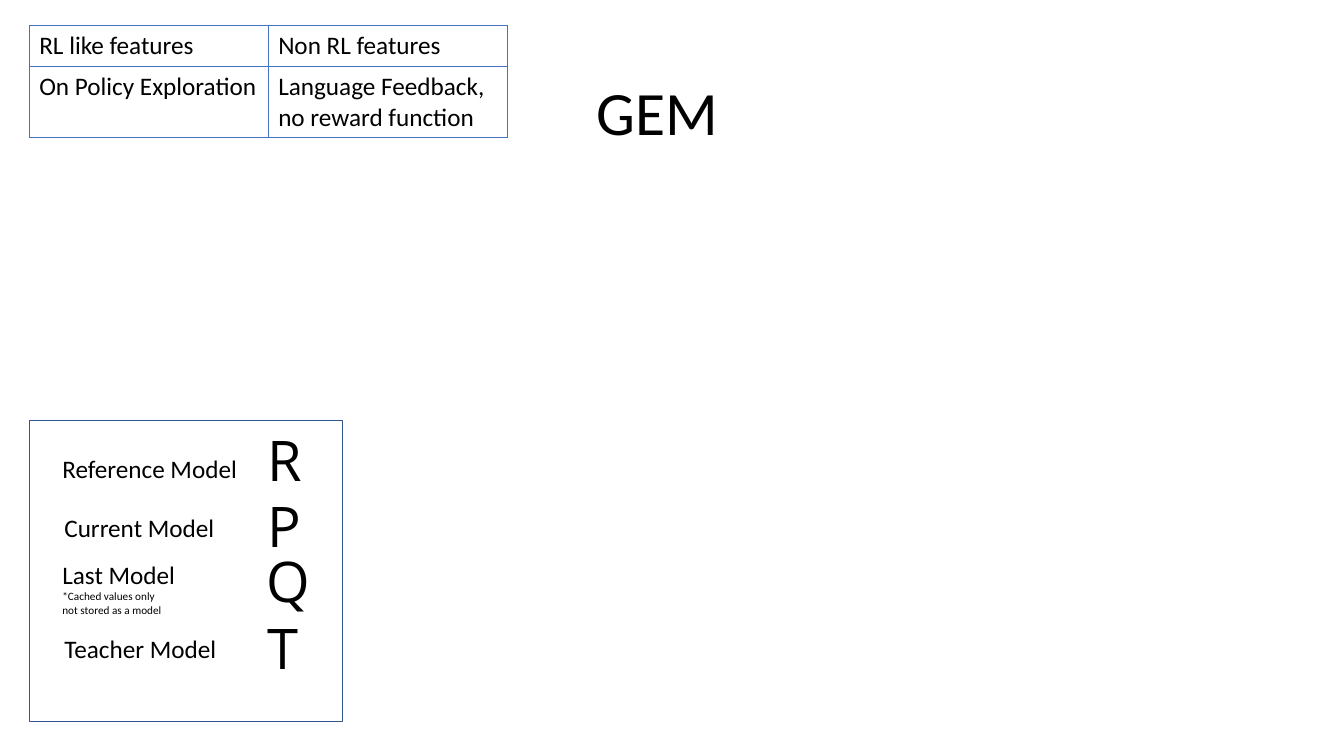
from dataclasses import dataclass

from lxml import etree
from pptx import Presentation
from pptx.dml.color import RGBColor
from pptx.enum.shapes import MSO_SHAPE
from pptx.enum.text import MSO_ANCHOR, MSO_AUTO_SIZE, PP_ALIGN
from pptx.oxml.ns import qn
from pptx.util import Pt

PX = 9144  # EMU per px, 100 px to the inch
RECT = MSO_SHAPE.RECTANGLE
MIDDLE, TOP = MSO_ANCHOR.MIDDLE, MSO_ANCHOR.TOP
CENTER, LEFT = PP_ALIGN.CENTER, PP_ALIGN.LEFT
GROW = MSO_AUTO_SIZE.SHAPE_TO_FIT_TEXT


@dataclass(frozen=True)
class Theme:
    text: str = "000000"
    grid: str = "4472C4"
    frame: str = "325491"
    body_font: str = "Calibri"
    symbol_font: str = "Open Sans"
    title: int = 44
    symbol: int = 40
    body: int = 18
    note: int = 8
    line: int = 1


class SlideBuilder:
    def __init__(self, prs, theme):
        self.theme = theme
        self.slide = prs.slides.add_slide(prs.slide_layouts[6])
        self.shapes = self.slide.shapes

    def start_group(self):
        """Place the elements that follow in a new group."""
        self.shapes = self.slide.shapes.add_group_shape().shapes

    def run(self, p, text, size, font=None):
        r = p.add_run()
        r.text = text
        r.font.size = Pt(size)
        r.font.name = font or self.theme.body_font
        r.font.color.rgb = RGBColor.from_string(self.theme.text)

    def text(self, box, lines, font=None, wrap=True):
        """Add a top-left text box; lines are (text, size) pairs."""
        tf = self.shapes.add_textbox(*(v * PX for v in box)).text_frame
        tf.word_wrap = wrap
        tf.auto_size = GROW
        tf.vertical_anchor = TOP
        for i, (text, size) in enumerate(lines):
            p = tf.paragraphs[0] if i == 0 else tf.add_paragraph()
            p.alignment = LEFT
            self.run(p, text, size, font)

    def title(self, box, text):
        tf = self.shapes.add_textbox(*(v * PX for v in box)).text_frame
        tf.word_wrap = True
        tf.vertical_anchor = MIDDLE
        p = tf.paragraphs[0]
        p.alignment = CENTER
        p.line_spacing = 0.9
        self.run(p, text, self.theme.title)

    def frame(self, box):
        sp = self.shapes.add_shape(RECT, *(v * PX for v in box))
        sp.shadow.inherit = False
        sp.fill.background()
        sp.line.color.rgb = RGBColor.from_string(self.theme.frame)
        sp.line.width = Pt(self.theme.line)

    def table(self, left, top, col_width, row_heights, rows):
        n_cols = len(rows[0])
        table = self.shapes.add_table(
            len(rows), n_cols, left * PX, top * PX,
            n_cols * col_width * PX, sum(row_heights) * PX).table
        table.first_row = table.horz_banding = False
        for col in table.columns:
            col.width = col_width * PX
        for row, height, texts in zip(table.rows, row_heights, rows):
            row.height = height * PX
            for cell, text in zip(row.cells, texts):
                self.run(cell.text_frame.paragraphs[0], text, self.theme.body)
                self.cell_borders(cell)
                cell.fill.background()

    def cell_borders(self, cell):
        tc_pr = cell._tc.get_or_add_tcPr()
        for side in ("lnL", "lnR", "lnT", "lnB"):
            ln = etree.SubElement(tc_pr, qn(f"a:{side}"), w=str(Pt(self.theme.line)))
            fill = etree.SubElement(ln, qn("a:solidFill"))
            etree.SubElement(fill, qn("a:srgbClr"), val=self.theme.grid)


def main():
    prs = Presentation()
    prs.slide_width, prs.slide_height = 1333 * PX, 750 * PX
    theme = Theme()
    s = SlideBuilder(prs, theme)

    s.title((77, 42, 1150, 145), "GEM")
    s.table(29, 25, 237, (41, 70), (
        ("RL like features", "Non RL features"),
        ("On Policy Exploration", "Language Feedback, no reward function"),
    ))

    s.start_group()
    s.frame((29, 417, 311, 299))
    note = ("*Cached values only", "not stored as a model")
    # symbol, its left, top and width; label, its left and top; note lines
    models = (
        ("R", 256, 417, 56, "Reference Model", 52, 445, ()),
        ("P", 256, 483, 53, "Current Model", 54, 503, ()),
        ("Q", 255, 537, 56, "Last Model", 52, 550, note),
        ("T", 256, 604, 53, "Teacher Model", 54, 623, ()),
    )
    for symbol, sym_x, sym_y, sym_w, label, x, y, notes in models:
        s.text((sym_x, sym_y, sym_w, 77), [(symbol, theme.symbol)],
               font=theme.symbol_font, wrap=False)
        lines = [(label, theme.body)] + [(line, theme.note) for line in notes]
        s.text((x, y, 234, 40 + 14 * len(notes)), lines)

    prs.save("out.pptx")


if __name__ == "__main__":
    main()
